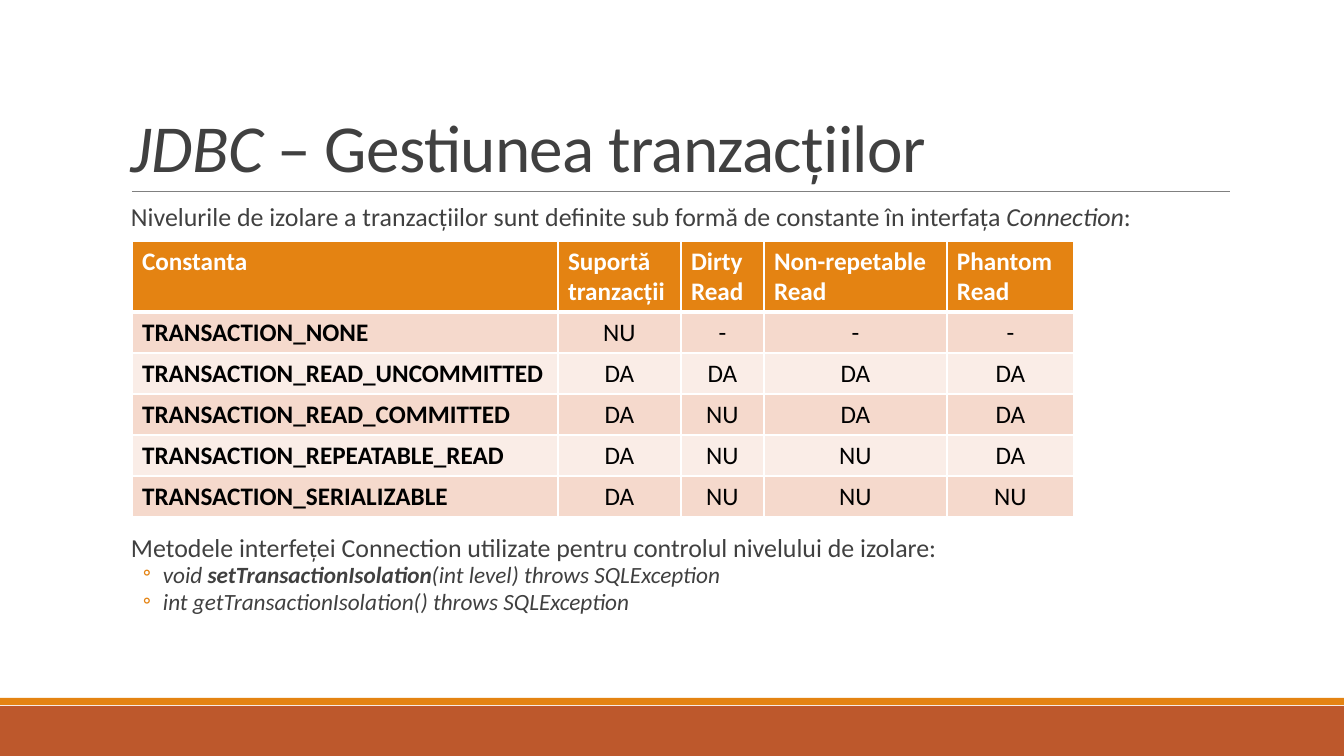
from lxml import etree
from pptx import Presentation
from pptx.dml.color import RGBColor
from pptx.enum import shapes, text
from pptx.oxml import ns
from pptx import util as u

SCALE = 914400 / 100.8
FONT = "Calibri"
WHITE = RGBColor(0xFF, 0xFF, 0xFF)
BLACK = RGBColor(0, 0, 0)
DARK = RGBColor(0x40, 0x40, 0x40)
GRAY = RGBColor(0x80, 0x80, 0x80)
ORANGE = RGBColor(0xE4, 0x83, 0x12)
RUST = RGBColor(0xBD, 0x58, 0x2C)
BANDS = [RGBColor(0xF5, 0xD9, 0xCC), RGBColor(0xFA, 0xED, 0xE7)]

WIDTHS = [426, 123, 83, 183, 127]
HEAD_H, ROW_H = 71, 41
HEADS = ["Constanta", "Suportă\ntranzacții", "Dirty\nRead",
         "Non-repetable\nRead", "Phantom\nRead"]
LEVELS = [
    ("TRANSACTION_NONE", "NU", "-", "-", "-"),
    ("TRANSACTION_READ_UNCOMMITTED", "DA", "DA", "DA", "DA"),
    ("TRANSACTION_READ_COMMITTED", "DA", "NU", "DA", "DA"),
    ("TRANSACTION_REPEATABLE_READ", "DA", "NU", "NU", "DA"),
    ("TRANSACTION_SERIALIZABLE", "DA", "NU", "NU", "NU"),
]


def px(n):
    """Turn picture pixels into EMU."""
    return u.Emu(round(n * SCALE))


def sub(node, tag, **attrs):
    """Append a DrawingML child element."""
    return etree.SubElement(node, ns.qn("a:" + tag), attrs)


def add_run(para, words, size, color, bold=False, italic=False):
    """Add one formatted run."""
    run = para.add_run()
    run.text = words
    font = run.font
    font.name, font.size, font.bold, font.italic = FONT, u.Pt(size), bold, italic
    font.color.rgb = color
    return run


def add_box(slide, x, y, w, h, side=0):
    """Add a wrapping text box and return its frame."""
    frame = slide.shapes.add_textbox(px(x), px(y), px(w), px(h)).text_frame
    frame.word_wrap = True
    frame.margin_left = frame.margin_right = px(side)
    frame.margin_top = frame.margin_bottom = px(5)
    return frame


def space(para, line, before, after):
    """Set line and paragraph spacing."""
    para.line_spacing = line
    para.space_before, para.space_after = u.Pt(before), u.Pt(after)


def add_lead(frame, *parts):
    """Fill the first paragraph with (words, italic) parts."""
    para = frame.paragraphs[0]
    space(para, 0.7, 12, 2)
    for words, italic in parts:
        add_run(para, words, 18.5, DARK, italic=italic)


def add_item(frame, *parts):
    """Add a bulleted italic paragraph of (words, bold) parts."""
    para = frame.add_paragraph()
    space(para, 0.7, 2, 4)
    props = para._p.get_or_add_pPr()
    props.set("marL", str(px(32)))
    props.set("indent", str(px(-20)))
    sub(sub(props, "buClr"), "srgbClr", val=str(ORANGE))
    sub(props, "buFont", typeface=FONT)
    sub(props, "buChar", char="◦")
    for words, bold in parts:
        add_run(para, words, 16.6, DARK, bold=bold, italic=True)


def add_bar(slide, y, h, color):
    """Add a full-width footer bar."""
    bar = slide.shapes.add_shape(shapes.MSO_SHAPE.RECTANGLE, 0, px(y), px(1344), px(h))
    bar.shadow.inherit = False
    bar.fill.solid()
    bar.fill.fore_color.rgb = color
    bar.line.fill.background()


def add_rule(slide, x, y, end):
    """Add the thin line under the title."""
    rule = slide.shapes.add_connector(
        shapes.MSO_CONNECTOR.STRAIGHT, px(x), px(y), px(end), px(y))
    rule.line.color.rgb = GRAY
    rule.line.width = u.Pt(0.5)
    sub(rule._element.spPr, "effectLst")


def add_edges(cell, top, bottom):
    """Give a cell white borders; top and bottom are points."""
    props = cell._tc.get_or_add_tcPr()
    for side, width in zip("LRTB", (1, 1, top, bottom)):
        edge = sub(props, "ln" + side, w=str(u.Pt(width)))
        sub(sub(edge, "solidFill"), "srgbClr", val=str(WHITE))


def add_grid(slide, x, y):
    """Add the table of isolation levels."""
    rows = [HEADS, *LEVELS]
    high = HEAD_H + ROW_H * len(LEVELS)
    grid = slide.shapes.add_table(
        len(rows), len(WIDTHS), px(x), px(y), px(sum(WIDTHS)), px(high)).table
    grid.horz_banding = False
    for col, width in zip(grid.columns, WIDTHS):
        col.width = px(width)
    for r, row in enumerate(rows):
        head = r == 0
        grid.rows[r].height = px(HEAD_H if head else ROW_H)
        for c, words in enumerate(row):
            cell = grid.cell(r, c)
            add_edges(cell, 3 if r == 1 else 1, 3 if head else 1)
            cell.fill.solid()
            cell.fill.fore_color.rgb = ORANGE if head else BANDS[(r - 1) % 2]
            frame = cell.text_frame
            for i, part in enumerate(words.split("\n")):
                para = frame.add_paragraph() if i else frame.paragraphs[0]
                if c and not head:
                    para.alignment = text.PP_ALIGN.CENTER
                add_run(para, part, 18, WHITE if head else BLACK, bold=head or c == 0)


def add_title(slide):
    """Add the slide title."""
    frame = add_box(slide, 121, 31, 1109, 160, side=10)
    frame.vertical_anchor = text.MSO_ANCHOR.BOTTOM
    para = frame.paragraphs[0]
    para.line_spacing = 0.85
    for words, italic in (("JDBC", True), (" – Gestiunea tranzacțiilor", False)):
        run = add_run(para, words, 48, DARK, italic=italic)
        run._r.get_or_add_rPr().set("spc", "-50")


def main():
    """Build and save the slide."""
    deck = Presentation()
    deck.slide_width, deck.slide_height = px(1344), px(756)
    slide = deck.slides.add_slide(deck.slide_layouts[6])
    add_bar(slide, 706, 50, RUST)
    add_bar(slide, 698, 7, ORANGE)
    add_rule(slide, 132, 191, 1230)
    add_title(slide)

    intro = add_box(slide, 131, 204, 1099, 32)
    add_lead(intro, ("Nivelurile de izolare a tranzacțiilor sunt definite sub formă "
                     "de constante în interfața ", False),
             ("Connection", True), (":", False))
    add_grid(slide, 132, 241)

    calls = add_box(slide, 131, 535, 1099, 112)
    add_lead(calls, ("Metodele interfeței Connection utilizate pentru controlul "
                     "nivelului de izolare:", False))
    add_item(calls, ("void ", False), ("setTransactionIsolation", True),
             ("(int level) throws SQLException", False))
    add_item(calls, ("int getTransactionIsolation() throws SQLException", False))
    deck.save("out.pptx")


main()
